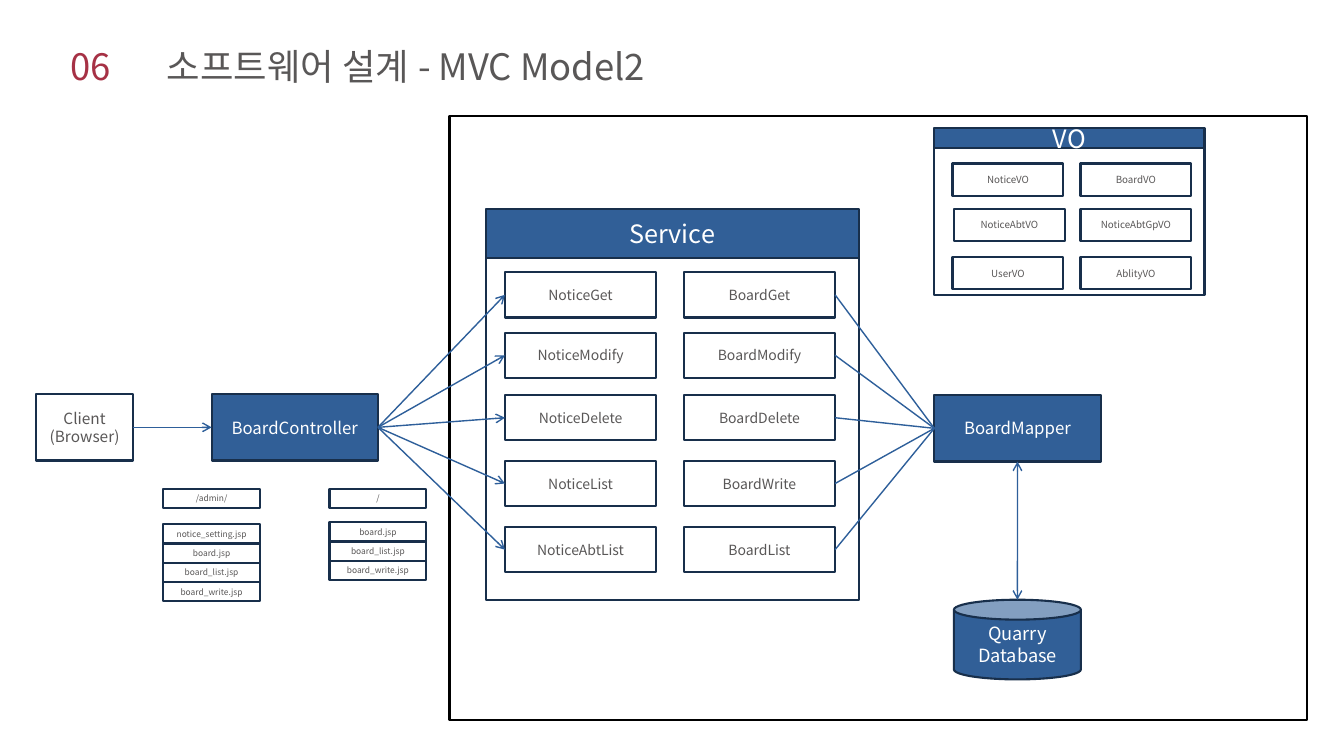
from dataclasses import dataclass
from lxml.etree import SubElement
from pptx import Presentation
from pptx.dml.color import RGBColor
from pptx.enum.shapes import MSO_CONNECTOR, MSO_SHAPE
from pptx.enum.text import MSO_ANCHOR, PP_ALIGN
from pptx.oxml.ns import qn
from pptx.util import Pt


@dataclass(frozen=True)
class Theme:
    font: str = "Noto Sans CJK KR"
    blue: str = "315F97"
    navy: str = "182F4B"
    arrow: str = "2E5F9A"
    red: str = "A63145"
    gray: str = "595757"
    white: str = "FFFFFF"
    black: str = "000000"
    title: int = 26
    header: int = 18
    database: int = 13
    component: int = 12
    client: int = 11
    service: int = 10
    value_object: int = 7
    view: int = 6


theme = Theme()
TOP, LEFT, BOTTOM, RIGHT = range(4)

deck = Presentation()
deck.slide_width, deck.slide_height = Pt(960), Pt(540)
page = deck.slides.add_slide(deck.slide_layouts[6])


def add_box(text, area, size=theme.service, fill=theme.white, border=theme.navy, kind=MSO_SHAPE.RECTANGLE):
    box = page.shapes.add_shape(kind, *[Pt(length) for length in area])
    box.shadow.inherit = False
    if fill:
        box.fill.solid()
        box.fill.fore_color.rgb = RGBColor.from_string(fill)
    else:
        box.fill.background()
    box.line.color.rgb = RGBColor.from_string(border)
    box.line.width = Pt(1.5)
    frame = box.text_frame
    frame.word_wrap = True
    frame.vertical_anchor = MSO_ANCHOR.MIDDLE
    frame.text = text
    for para in frame.paragraphs:
        para.alignment = PP_ALIGN.CENTER
        para.font.name = theme.font
        para.font.size = Pt(size)
        para.font.color.rgb = RGBColor.from_string(theme.white if fill == theme.blue else theme.gray)
        for span in para.runs:
            span.font.name = theme.font
            SubElement(span.font._element, qn("a:ea"), typeface=theme.font)
    return box


def add_link(start, start_side, end, end_side, arrows=()):
    link = page.shapes.add_connector(MSO_CONNECTOR.STRAIGHT, 0, 0, end.left + end.width // 2, end.top)
    link.begin_connect(start, start_side)
    if end_side is not None:
        link.end_connect(end, end_side)
    link.line.color.rgb = RGBColor.from_string(theme.arrow)
    link.line.width = Pt(1)
    for arrow in arrows:
        SubElement(link.line._get_or_add_ln(), qn(f"a:{arrow}"), type="arrow")
    SubElement(link._element.spPr, qn("a:effectLst"))


# Title: red number, then the heading at a tab stop
title = page.shapes.add_textbox(Pt(43.2), Pt(27.4), Pt(499), Pt(38.9))
title.text_frame.word_wrap = True
title.text_frame.vertical_anchor = MSO_ANCHOR.MIDDLE
para = title.text_frame.paragraphs[0]
tabs = SubElement(para._p.get_or_add_pPr(), qn("a:tabLst"))
SubElement(tabs, qn("a:tab"), pos=str(Pt(69)), algn="l")
for text, color in (("06\t", theme.red), ("소프트웨어 설계 - MVC Model2", theme.gray)):
    span = para.add_run()
    span.text = text
    span.font.name = theme.font
    span.font.size = Pt(theme.title)
    span.font.color.rgb = RGBColor.from_string(color)
    SubElement(span.font._element, qn("a:ea"), typeface=theme.font)

# Server frame and the two titled panels
add_box("", (321.1, 82.8, 612.7, 431.3), fill=None, border=theme.black)
for name, left, width, frame_top, frame_height, header_top, header_height in (
    ("Service", 347, 266.4, 154.1, 274.3, 149, 35.3),
    ("VO", 667.4, 193, 97.2, 113.8, 91.4, 14.4),
):
    add_box("", (left, frame_top, width, frame_height), fill=None)
    add_box(name, (left, header_top, width, header_height), theme.header, theme.blue)

# Main components
client = add_box("Client\n(Browser)", (25.9, 281.5, 69.1, 47.5), theme.client)
controller = add_box("BoardController", (151.2, 281.5, 118.8, 47.5), theme.component, theme.blue)
mapper = add_box("BoardMapper", (667.4, 282.2, 118.8, 47.5), theme.component, theme.blue)
database = add_box("Quarry\nDatabase", (681.4, 428.4, 90.7, 56.9), theme.database, theme.blue, kind=MSO_SHAPE.CAN)
add_link(client, RIGHT, controller, LEFT, ["tailEnd"])
add_link(mapper, BOTTOM, database, None, ["headEnd", "tailEnd"])

# Services: the controller calls the left column, the right column uses the mapper
for action, notice, board in (
    (194.4, "NoticeGet", "BoardGet"),
    (237.6, "NoticeModify", "BoardModify"),
    (282.2, "NoticeDelete", "BoardDelete"),
    (329.2, "NoticeList", "BoardWrite"),
    (376.4, "NoticeAbtList", "BoardList"),
):
    notice_box = add_box(notice, (360.7, action, 108, 32.4))
    board_box = add_box(board, (488.5, action, 108, 32.4))
    add_link(controller, RIGHT, notice_box, LEFT, ["tailEnd"])
    add_link(board_box, RIGHT, mapper, LEFT)

# Value objects
for top, left, names in (
    (116.8, 680.4, ("NoticeVO", "BoardVO")),
    (149, 681.4, ("NoticeAbtVO", "NoticeAbtGpVO")),
    (183.6, 680.4, ("UserVO", "AblityVO")),
):
    for name, column in zip(names, (left, 771.8)):
        add_box(name, (column, top, 79.2, 23), theme.value_object)

# View pages: a folder above its stacked files
for folder, left, first_top, files in (
    ("/admin/", 116.6, 374.4, ("notice_setting.jsp", "board.jsp", "board_list.jsp", "board_write.jsp")),
    ("/", 235.4, 373, ("board.jsp", "board_list.jsp", "board_write.jsp")),
):
    add_box(folder, (left, 349.2, 69.1, 13.7), theme.view)
    for row, name in enumerate(files):
        add_box(name, (left, first_top + row * 13.8, 69.1, 13.7), theme.view)

deck.save("out.pptx")
